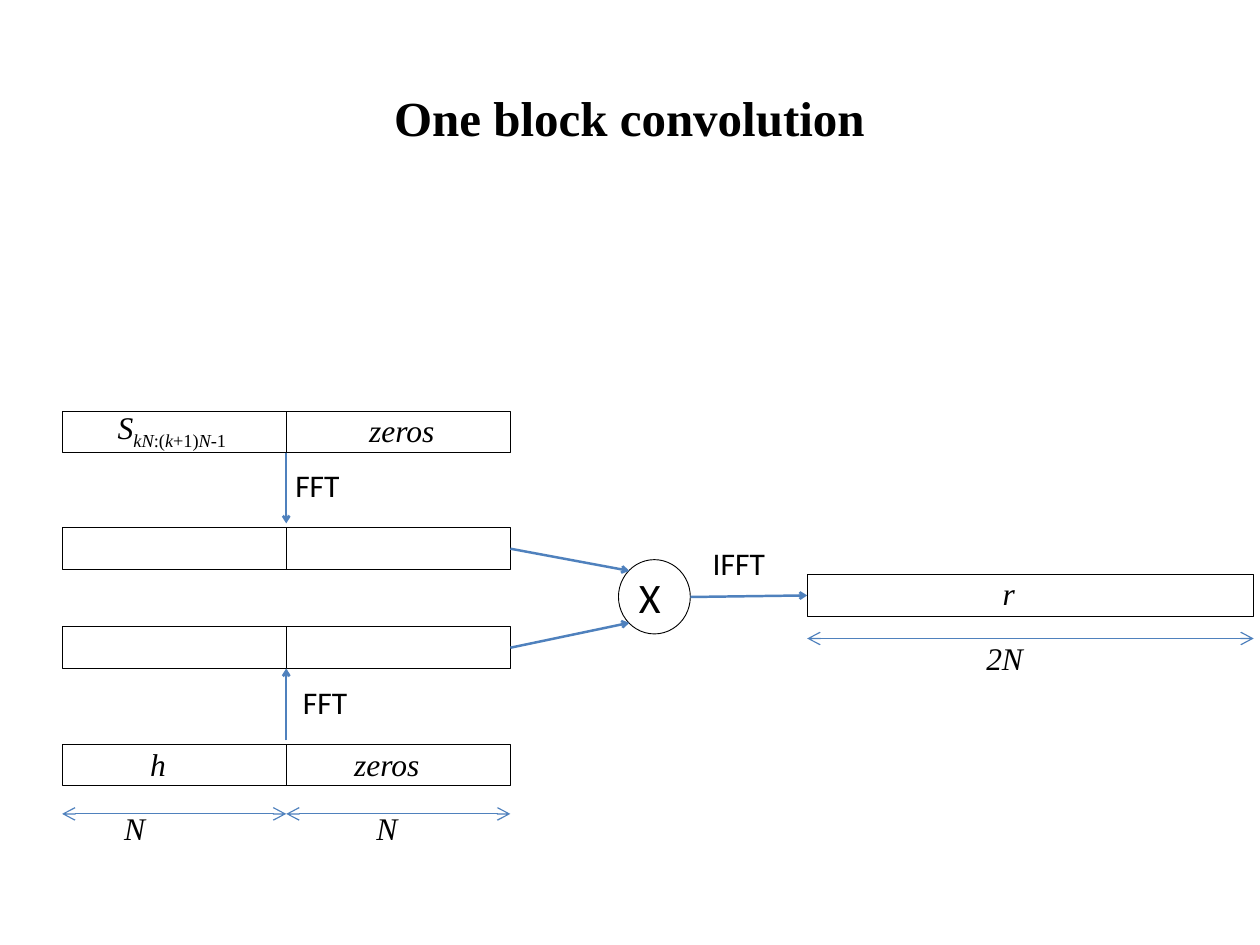
from lxml import etree
from pptx import Presentation
from pptx.dml.color import RGBColor
from pptx.enum.shapes import MSO_CONNECTOR, MSO_SHAPE
from pptx.enum.text import MSO_ANCHOR, PP_ALIGN
from pptx.oxml.ns import qn
from pptx.util import Cm, Pt

BLACK, BLUE = "000000", "4F81BD"
SERIF, SANS = "Times New Roman", "Calibri"
ROW_HEIGHT = 1.19
MATH = {"name": SERIF, "size": Pt(25.6), "italic": True}
STEP = {"name": SANS, "size": Pt(25.6)}
TIMES = {"name": SANS, "size": Pt(34.1)}
HEADING = {"name": SERIF, "size": Pt(39.8), "bold": True}


def color(hex_code):
    """Turn a hex string into a colour."""
    return RGBColor.from_string(hex_code)


def add_label(slide, center_x, center_y, runs, style, width=6, height=1.35):
    """Centre text on a point; each run is its text and its italic and subscript flags."""
    box = slide.shapes.add_textbox(Cm(center_x - width / 2), Cm(center_y - height / 2),
                                   Cm(width), Cm(height))
    frame = box.text_frame
    settings = {"word_wrap": True, "vertical_anchor": MSO_ANCHOR.MIDDLE, "margin_left": 0,
                "margin_right": 0, "margin_top": 0, "margin_bottom": 0}
    for key, value in settings.items():
        setattr(frame, key, value)
    paragraph = frame.paragraphs[0]
    paragraph.alignment = PP_ALIGN.CENTER
    if isinstance(runs, str):
        runs = [(runs, style.get("italic", False), False)]
    for text, italic, subscript in runs:
        run = paragraph.add_run()
        run.text = text
        for key, value in {**style, "italic": italic}.items():
            setattr(run.font, key, value)
        run.font.color.rgb = color(BLACK)
        if subscript:
            run.font._element.set("baseline", "-25000")


def add_outline(slide, kind, left, top, width, height):
    """Draw an unfilled shape with a thin black line."""
    shape = slide.shapes.add_shape(kind, Cm(left), Cm(top), Cm(width), Cm(height))
    shape.shadow.inherit = False
    shape.fill.background()
    shape.line.color.rgb = color(BLACK)
    shape.line.width = Pt(0.75)
    return shape


def add_arrow(slide, start, end, weight=2, heads=("tailEnd",), size="med"):
    """Draw a blue straight arrow between two points."""
    arrow = slide.shapes.add_connector(MSO_CONNECTOR.STRAIGHT, *map(Cm, (*start, *end)))
    arrow.line.color.rgb = color(BLUE)
    arrow.line.width = Pt(weight)
    line = arrow.line._get_or_add_ln()
    for head in heads:
        etree.SubElement(line, qn("a:" + head), type="arrow", w=size, len=size)
    etree.SubElement(arrow._element.spPr, qn("a:effectLst"))
    return arrow


def add_span(slide, left, right, y):
    """Draw a thin double-headed dimension line."""
    add_arrow(slide, (left, y), (right, y), 1, ("headEnd", "tailEnd"), "lg")


def add_title(slide, left, top, width, height):
    """Write the heading in the middle of its box."""
    add_label(slide, left + width / 2, top + height / 2, "One block convolution",
              HEADING, width, height)


def add_transforms(slide, left, top, width):
    """Draw the signal and filter blocks with their spectra; return the spectra's right cells."""
    half = width / 2
    middle = left + half
    signal, signal_spectrum, filter_spectrum, filter_block = (
        top + offset for offset in (0, 3.35, 6.19, 9.55))
    right_cells = {}
    for row in (signal, signal_spectrum, filter_spectrum, filter_block):
        for x in (left, middle):
            right_cells[row] = add_outline(slide, MSO_SHAPE.RECTANGLE, x, row, half, ROW_HEIGHT)

    samples = [("S", True, False), ("kN", True, True), (":(", False, True), ("k", True, True),
               ("+1)", False, True), ("N", True, True), ("-1", False, True)]
    span_y = filter_block + 2
    labels = [
        (3.15, signal + 0.53, samples, MATH),
        (9.74, signal + 0.53, "zeros", MATH),
        (7.32, signal + 2.13, "FFT", STEP),
        (7.54, filter_block - 1.21, "FFT", STEP),
        (2.75, filter_block + 0.57, "h", MATH),
        (9.31, filter_block + 0.57, "zeros", MATH),
        (2.08, span_y + 0.4, "N", MATH),
        (9.31, span_y + 0.4, "N", MATH),
    ]
    for offset, y, text, style in labels:
        add_label(slide, left + offset, y, text, style)

    add_arrow(slide, (middle, signal + ROW_HEIGHT), (middle, signal_spectrum - 0.13))
    add_arrow(slide, (middle, filter_block - 0.11), (middle, filter_spectrum + ROW_HEIGHT))
    for x in (left, middle):
        add_span(slide, x, x + half, span_y)
    return right_cells[signal_spectrum], right_cells[filter_spectrum]


def add_product(slide, left, top, width, height, spectra):
    """Draw the multiplier fed by both spectra."""
    add_outline(slide, MSO_SHAPE.OVAL, left, top, width, height)
    add_label(slide, left + 0.9, top + height / 2, "X", TIMES, width, 1.73)
    for spectrum, rise in zip(spectra, (0.15, 0.85)):
        entry = (left + 0.15 * width, top + rise * height)
        add_arrow(slide, entry, entry).begin_connect(spectrum, 3)


def add_result(slide, left, top, width, source):
    """Draw the result block, its length and the inverse transform leading to it."""
    block = add_outline(slide, MSO_SHAPE.RECTANGLE, left, top, width, ROW_HEIGHT)
    add_arrow(slide, source, source).end_connect(block, 1)
    add_span(slide, left, left + width, top + 1.83)
    add_label(slide, left - 1.96, top - 0.34, "IFFT", STEP)
    add_label(slide, left + 5.78, top + 0.52, "r", MATH)
    add_label(slide, left + 5.66, top + 2.38, "2N", MATH)


def main():
    """Build the slide and save it."""
    deck = Presentation()
    deck.slide_width, deck.slide_height = Cm(36.12), Cm(27.1)
    slide = deck.slides.add_slide(deck.slide_layouts[6])
    add_title(slide, 1.8, 1.09, 32.51, 4.52)
    spectra = add_transforms(slide, 1.78, 11.79, 12.85)
    add_product(slide, 17.73, 16.05, 2.06, 2.13, spectra)
    add_result(slide, 23.14, 16.48, 12.8, (19.79, 17.12))
    deck.save("out.pptx")


if __name__ == "__main__":
    main()
